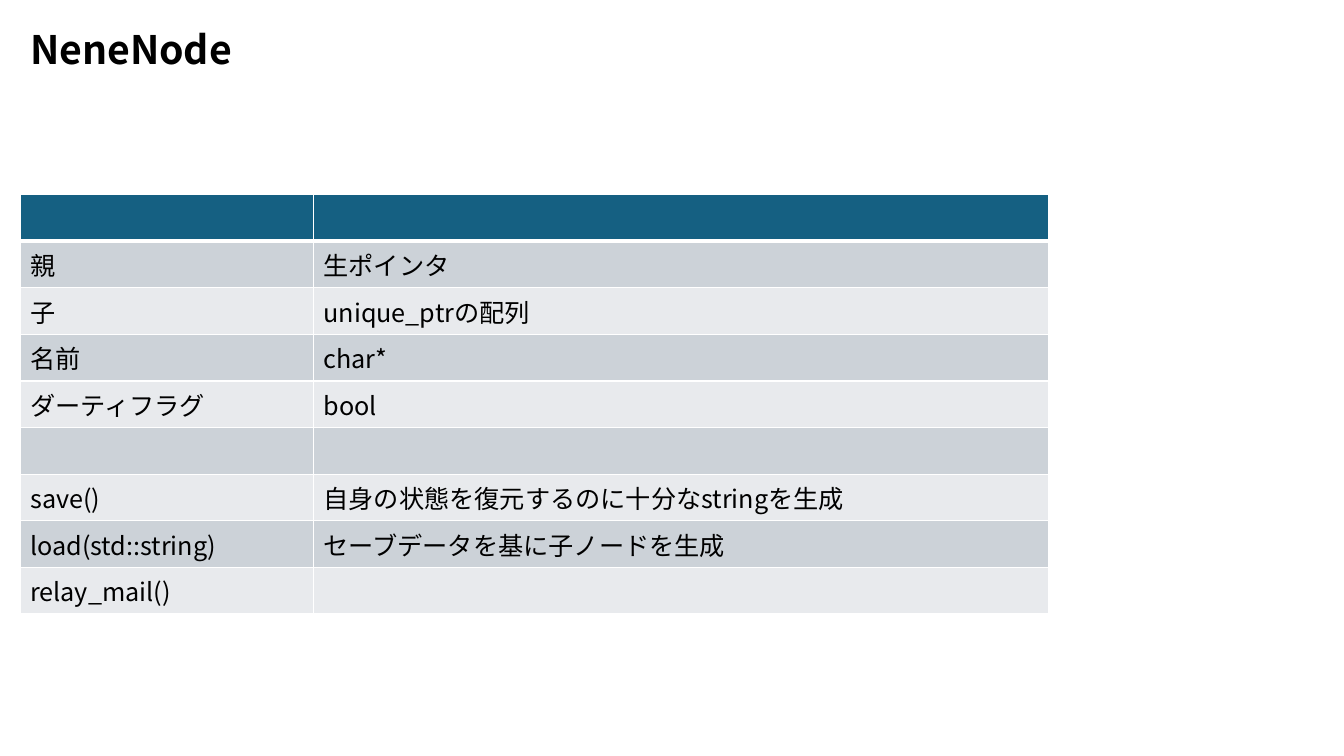
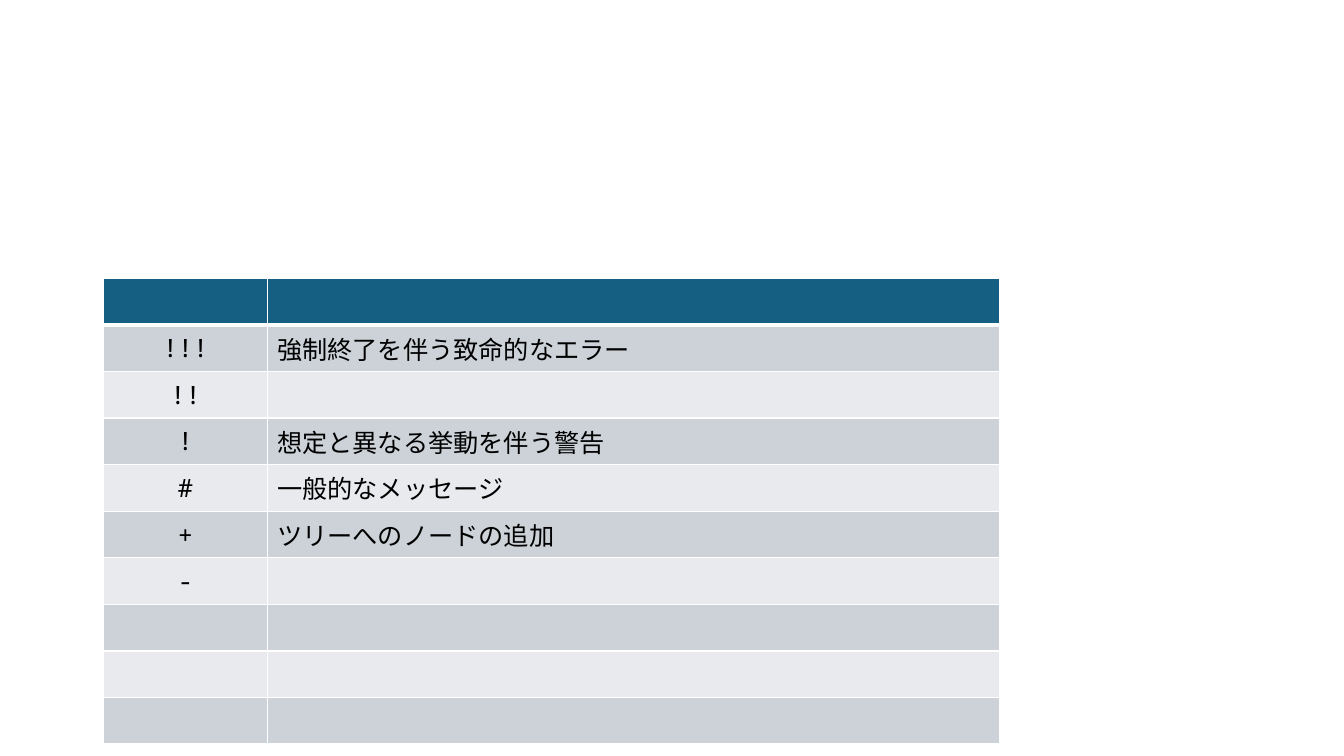
from lxml.etree import SubElement
from pptx import Presentation
from pptx.dml.color import RGBColor
from pptx.enum.text import MSO_ANCHOR as ANCHOR, MSO_AUTO_SIZE as AUTO, PP_ALIGN as ALIGN
from pptx.oxml.ns import qn
from pptx.util import Pt

BLACK = RGBColor(0x00, 0x00, 0x00)
WHITE = RGBColor(0xFF, 0xFF, 0xFF)
HEADER = RGBColor(0x15, 0x60, 0x82)
BANDS = (RGBColor(0xCC, 0xD2, 0xD8), RGBColor(0xE8, 0xEA, 0xED))
SANS, MONO = "Noto Sans CJK JP", "Noto Sans Mono"
TITLE_ONLY, BLANK = 5, 6
ROW_HEIGHT = 29.2

NODE_ROWS = [
    ("", ""),
    ("親", "生ポインタ"),
    ("子", "unique_ptrの配列"),
    ("名前", "char*"),
    ("ダーティフラグ", "bool"),
    ("", ""),
    ("save()", "自身の状態を復元するのに十分なstringを生成"),
    ("load(std::string)", "セーブデータを基に子ノードを生成"),
    ("relay_mail()", ""),
]
LOG_ROWS = [
    ("", ""),
    ("!!!", "強制終了を伴う致命的なエラー"),
    ("!!", ""),
    ("!", "想定と異なる挙動を伴う警告"),
    ("#", "一般的なメッセージ"),
    ("+", "ツリーへのノードの追加"),
    ("-", ""),
    ("", ""),
    ("", ""),
    ("", ""),
]


def set_attrs(obj, values):
    for name, value in values.items():
        setattr(obj, name, value)


class Deck:
    """Holds the shared style and the slide being filled."""

    title_font = dict(size=Pt(28), bold=True, name=SANS)
    title_box = dict(left=Pt(14.4), top=Pt(14.4), width=Pt(307), height=Pt(41))
    title_frame = dict(margin_left=Pt(7.2), margin_right=Pt(7.2), margin_top=Pt(3.6),
                       margin_bottom=Pt(3.6), vertical_anchor=ANCHOR.MIDDLE,
                       word_wrap=True, auto_size=AUTO.NONE)

    def __init__(self):
        self.prs = Presentation()
        set_attrs(self.prs, dict(slide_width=Pt(960), slide_height=Pt(540)))
        self.slide = None

    def add_slide(self, layout):
        self.slide = self.prs.slides.add_slide(self.prs.slide_layouts[layout])

    def style_run(self, r, font):
        set_attrs(r.font, font)
        r.font.color.rgb = BLACK
        SubElement(r.font._element, qn("a:ea"), typeface=font["name"])

    def title(self, text):
        sp = self.slide.shapes.title
        set_attrs(sp, self.title_box)
        set_attrs(sp.text_frame, self.title_frame)
        p = sp.text_frame.paragraphs[0]
        p.alignment = ALIGN.LEFT
        r = p.add_run()
        r.text = text
        self.style_run(r, self.title_font)

    def borders(self, cell, top, bottom):
        """Draw white cell edges; top and bottom are widths in points."""
        tc_pr = cell._tc.get_or_add_tcPr()
        for side, width in zip("LRTB", (1, 1, top, bottom)):
            ln = SubElement(tc_pr, qn(f"a:ln{side}"), w=str(Pt(width)))
            fill = SubElement(ln, qn("a:solidFill"))
            SubElement(fill, qn("a:srgbClr"), val=str(WHITE))

    def cell_text(self, cell, text, font_name, align):
        p = cell.text_frame.paragraphs[0]
        p.alignment = align
        if text:
            r = p.add_run()
            r.text = text
            self.style_run(r, dict(size=Pt(18), name=font_name))
        else:
            # An empty cell still takes its line height from the font.
            end = SubElement(p._p, qn("a:endParaRPr"), sz="1800")
            for tag in ("a:latin", "a:ea"):
                SubElement(end, qn(tag), typeface=font_name)

    def table(self, left, top, widths, rows, fonts, aligns, anchor):
        table = self.slide.shapes.add_table(
            len(rows), len(widths), Pt(left), Pt(top),
            Pt(sum(widths)), Pt(ROW_HEIGHT * len(rows))).table
        for column, width in zip(table.columns, widths):
            column.width = Pt(width)
        for i, row in enumerate(rows):
            table.rows[i].height = Pt(ROW_HEIGHT)
            for j, text in enumerate(row):
                cell = table.cell(i, j)
                cell.vertical_anchor = anchor
                self.borders(cell, 3 if i == 1 else 1, 3 if i == 0 else 1)
                cell.fill.solid()
                cell.fill.fore_color.rgb = BANDS[(i - 1) % 2] if i else HEADER
                self.cell_text(cell, text, fonts[j], aligns[j])


def main():
    deck = Deck()

    deck.add_slide(TITLE_ONLY)
    deck.table(14.4, 139, (209.5, 524.9), NODE_ROWS,
               (SANS, SANS), (ALIGN.LEFT, ALIGN.LEFT), ANCHOR.TOP)
    deck.title("NeneNode")

    deck.add_slide(BLANK)
    deck.table(74.2, 198.7, (116.6, 523.4), LOG_ROWS,
               (MONO, SANS), (ALIGN.CENTER, ALIGN.LEFT), ANCHOR.MIDDLE)

    deck.prs.save("out.pptx")


if __name__ == "__main__":
    main()
